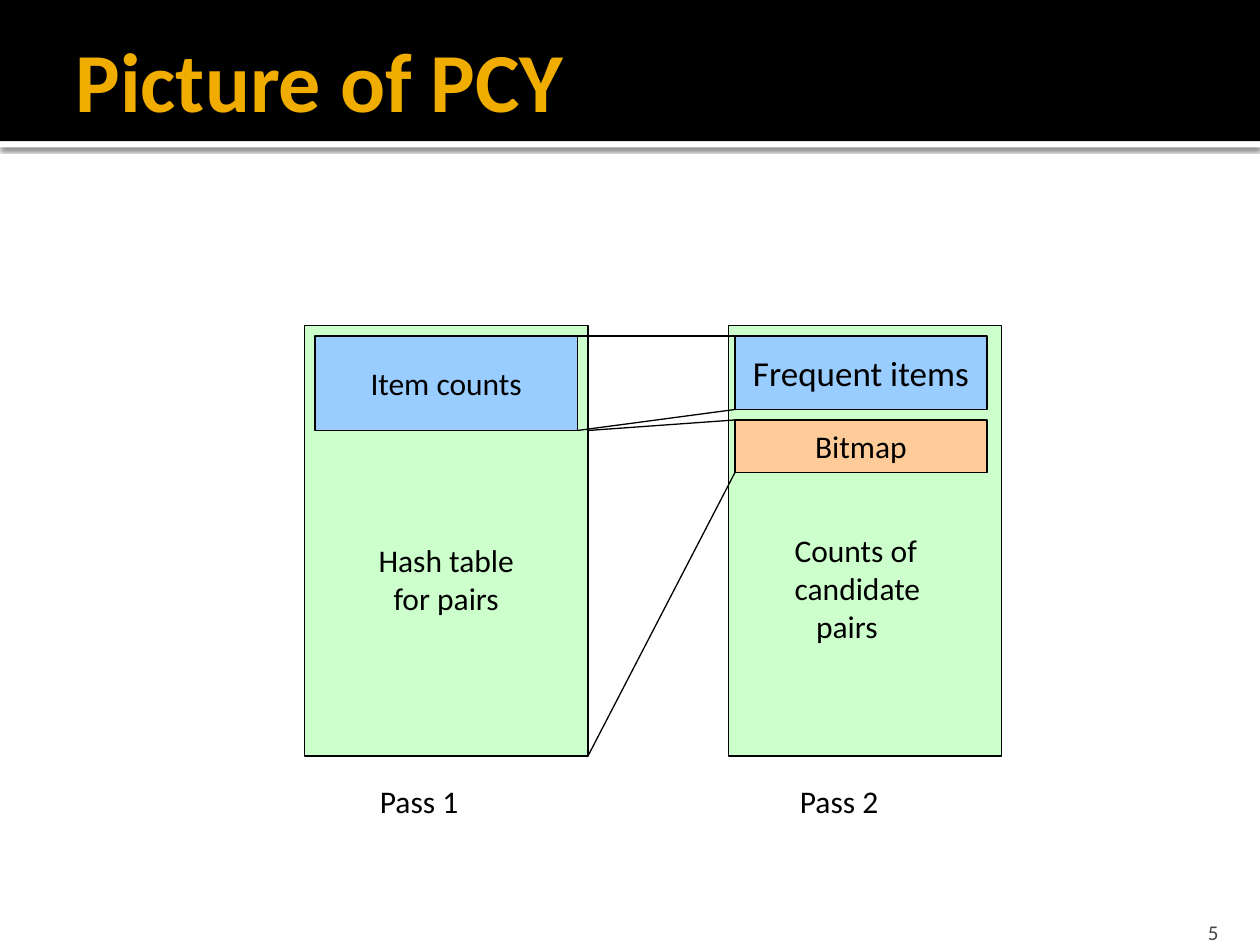
from dataclasses import dataclass

from lxml import etree
from pptx import Presentation
from pptx import util as u
from pptx.dml.color import RGBColor
from pptx.enum import shapes, text
from pptx.oxml import parse_xml
from pptx.oxml.ns import nsdecls, qn

CELL = u.Inches(1) / 12  # the diagram sits on a grid of 120 columns by 90 rows
COLORS = {
    "band": "000000", "rule": "FFFFFF", "title": "F0AD00", "number": "454545",
    "ink": "000000", "memory": "CCFFCC", "items": "99CCFF", "bitmap": "FFCC99",
}
FONT = "Calibri"


@dataclass
class Box:
    column: float
    row: float
    columns: float
    rows: float
    color: str
    lines: tuple[str, ...] = ()
    size: int = 18
    top_inset: float = 0.05


@dataclass
class Label:
    column: float
    row: float
    columns: float
    rows: float
    lines: tuple[str, ...]
    last_indent: float = 0


@dataclass
class Link:
    start: tuple[float, float]
    end: tuple[float, float]


BOXES = [
    Box(29, 31, 27, 41, "memory", ("Hash table", "for pairs"), top_inset=0.65),
    Box(69.4, 31, 26, 41, "memory"),
    Box(30, 32, 25, 9, "items", ("Item counts",)),
    Box(70, 40, 24, 5, "bitmap", ("Bitmap",)),
    Box(70, 32, 24, 7, "items", ("Frequent items",), size=20),
]
LABELS = [
    Label(35, 73.9, 13.8, 6, ("Pass 1",)),
    Label(75, 73.9, 13.8, 6, ("Pass 2",)),
    Label(74.5, 50, 19.4, 15.6, ("Counts of", "candidate", "pairs"), last_indent=0.17),
]
LINKS = [
    Link((55, 32), (70, 32)),
    Link((55, 41), (70, 39)),
    Link((56, 41), (70, 40)),
    Link((56, 72), (70, 45)),
]


def grid(*cells: float) -> list[int]:
    return [round(cell * CELL) for cell in cells]


def rgb(name: str) -> RGBColor:
    return RGBColor.from_string(COLORS[name])


def write(shape, lines, size, color="ink", align=text.PP_ALIGN.LEFT, bold=False, **frame_format):
    """Fill the shape with one paragraph per line; extra values go to its text frame."""
    frame = shape.text_frame
    for name, value in frame_format.items():
        setattr(frame, name, value)
    frame.text = "\n".join(lines)
    for paragraph in frame.paragraphs:
        paragraph.alignment = align
        for name, value in {"name": FONT, "size": u.Pt(size), "bold": bold}.items():
            setattr(paragraph.font, name, value)
        paragraph.font.color.rgb = rgb(color)


def add_rectangle(slide, place, color: str):
    shape = slide.shapes.add_shape(shapes.MSO_SHAPE.RECTANGLE, *place)
    shape.shadow.inherit = False
    shape.fill.solid()
    shape.fill.fore_color.rgb = rgb(color)
    shape.line.fill.background()
    return shape


def add_box(slide, box: Box) -> None:
    shape = add_rectangle(slide, grid(box.column, box.row, box.columns, box.rows), box.color)
    shape.line.color.rgb = rgb("ink")
    shape.line.width = u.Pt(0.75)
    if box.lines:
        write(shape, box.lines, box.size, align=text.PP_ALIGN.CENTER, word_wrap=False,
              vertical_anchor=text.MSO_ANCHOR.MIDDLE, margin_top=u.Inches(box.top_inset))


def add_label(slide, label: Label) -> None:
    shape = slide.shapes.add_textbox(*grid(label.column, label.row, label.columns, label.rows))
    write(shape, label.lines, 18, word_wrap=True)
    if label.last_indent:
        properties = shape.text_frame.paragraphs[-1]._p.get_or_add_pPr()
        properties.set("marL", str(u.Inches(label.last_indent)))


def add_link(slide, link: Link) -> None:
    connector = slide.shapes.add_connector(
        shapes.MSO_CONNECTOR.STRAIGHT, *grid(*link.start, *link.end))
    connector.line.color.rgb = rgb("ink")
    connector.line.width = u.Pt(0.75)
    etree.SubElement(connector.element.spPr, qn("a:effectLst"))


def add_header(slide, width: int) -> None:
    """Draw the band and its shadowed rule behind the title."""
    title = slide.shapes.title
    band_height = u.Inches(1.12)
    rule = add_rectangle(slide, (0, band_height, width, u.Inches(0.05)), "rule")
    band = add_rectangle(slide, (0, 0, width, band_height), "band")
    for shape in (rule, band):
        title.element.addprevious(shape.element)

    effects = rule.element.spPr.find(qn("a:effectLst"))
    effects.append(parse_xml(
        f'<a:outerShdw {nsdecls("a")} blurRad="{u.Pt(2.5)}" dist="{u.Pt(0.8)}" '
        'dir="5400000" algn="t" rotWithShape="0">'
        '<a:srgbClr val="000000"><a:alpha val="60000"/></a:srgbClr></a:outerShdw>'))

    place = {"left": 0.5, "top": 0.17, "width": 9.5, "height": 0.92}
    for name, inches in place.items():
        setattr(title, name, u.Inches(inches))
    write(title, ["Picture of PCY"], 48, "title", bold=True, word_wrap=True,
          auto_size=text.MSO_AUTO_SIZE.NONE, vertical_anchor=text.MSO_ANCHOR.MIDDLE,
          margin_right=u.Inches(0.05))


def add_number(slide) -> None:
    shape = slide.shapes.add_textbox(*map(u.Inches, (8.97, 7.2, 0.8, 0.3)))
    write(shape, ["5"], 12, "number", text.PP_ALIGN.RIGHT, word_wrap=True,
          vertical_anchor=text.MSO_ANCHOR.BOTTOM, margin_bottom=0)


def main() -> None:
    presentation = Presentation()
    presentation.slide_width, presentation.slide_height = grid(120, 90)
    slide = presentation.slides.add_slide(presentation.slide_layouts.get_by_name("Title Only"))
    add_header(slide, presentation.slide_width)
    add_number(slide)
    for box in BOXES:
        add_box(slide, box)
    for label in LABELS:
        add_label(slide, label)
    for link in LINKS:
        add_link(slide, link)
    presentation.save("out.pptx")


if __name__ == "__main__":
    main()
